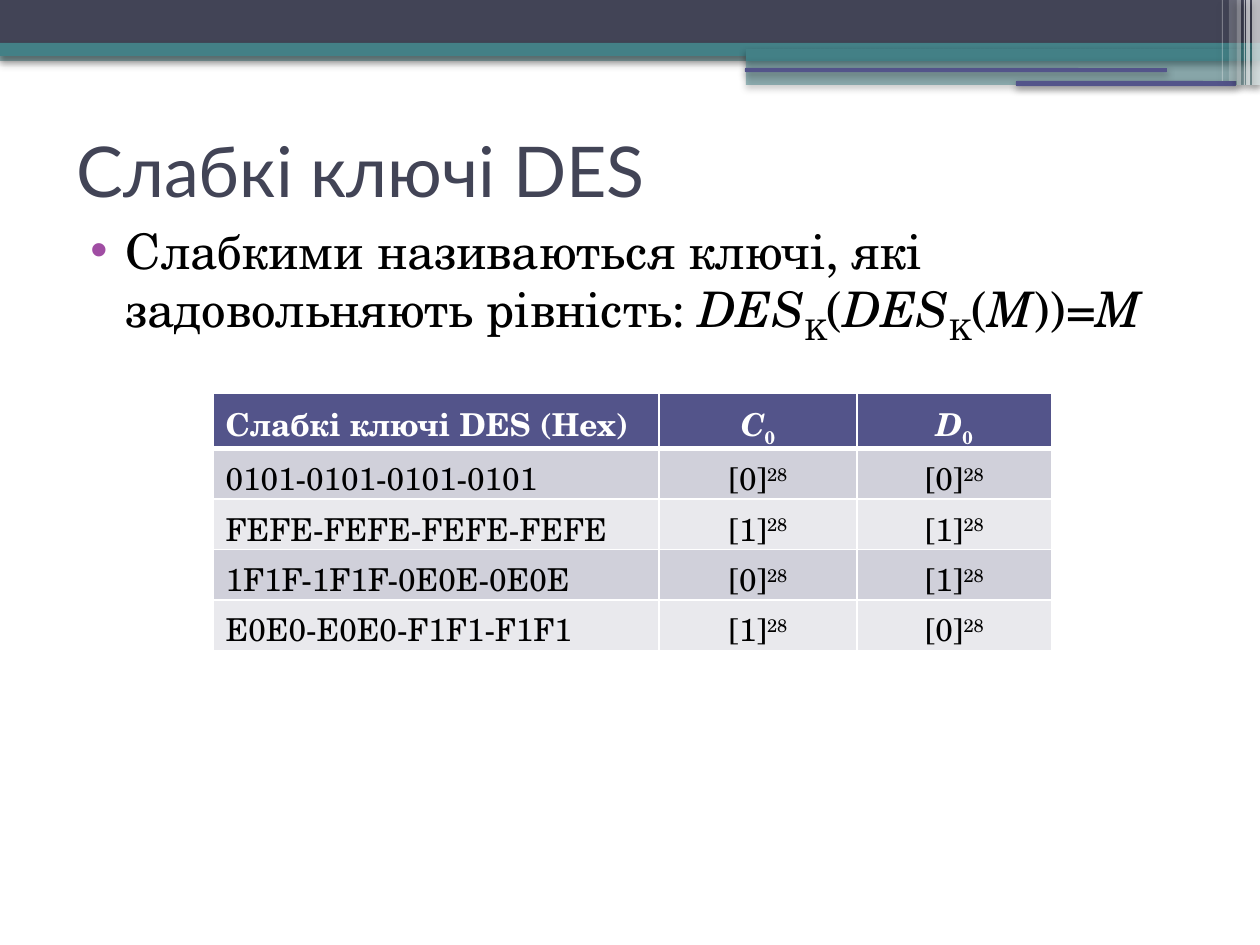
from dataclasses import dataclass

from lxml import etree
from pptx import Presentation
from pptx import util as u
from pptx.dml.color import RGBColor
from pptx.enum import shapes, text
from pptx.oxml.ns import qn

EMU_PER_PX = 914400 / 126
BASELINES = {"sub": "-25000", "sup": "30000"}


@dataclass(frozen=True)
class Theme:
    navy: str = "424456"
    teal: str = "438086"
    indigo: str = "53548A"
    white: str = "FFFFFF"
    black: str = "000000"
    bullet: str = "A04DA3"
    bands: tuple = ("D0D0DA", "E9E9ED")
    heading_font: str = "Lato"
    body_font: str = "TeX Gyre Schola"
    title_size: int = 40
    body_size: int = 28
    table_size: int = 18


def px(length):
    return u.Emu(round(length * EMU_PER_PX))


def rgb(code):
    return RGBColor.from_string(code)


def child(parent, tag, **attributes):
    return etree.SubElement(parent, qn(tag), {k: str(v) for k, v in attributes.items()})


def apply(target, values):
    for name, value in values.items():
        setattr(target, name, value)


class SlideBuilder:
    def __init__(self, presentation, theme):
        self.theme = theme
        self.slide = presentation.slides.add_slide(presentation.slide_layouts[5])

    def place(self, shape, box):
        apply(shape, dict(zip(("left", "top", "width", "height"), map(px, box))))

    def add_runs(self, paragraph, runs, font, size, color, bold=False):
        """Add (wording, style) runs; a style is "", "i", "sub" or "sup"."""
        for wording, style in runs:
            run = paragraph.add_run()
            run.text = wording
            apply(run.font, {"name": font, "size": u.Pt(size), "bold": bold,
                             "italic": style == "i"})
            run.font.color.rgb = rgb(color)
            if style in BASELINES:
                run._r.get_or_add_rPr().set("baseline", BASELINES[style])

    def bar(self, box, color, opacity=100, rounded=False):
        kinds = shapes.MSO_SHAPE
        kind = kinds.ROUNDED_RECTANGLE if rounded else kinds.RECTANGLE
        bar = self.slide.shapes.add_shape(kind, *map(px, box))
        bar.fill.solid()
        bar.fill.fore_color.rgb = rgb(color)
        bar.line.fill.background()
        bar.shadow.inherit = False
        properties = bar._element.spPr
        if opacity < 100:
            fill_color = properties.find(qn("a:solidFill"))[0]
            child(fill_color, "a:alpha", val=opacity * 1000)
        shadow = child(properties.find(qn("a:effectLst")), "a:outerShdw",
                       blurRad=u.Pt(4.1), dist=u.Pt(2), dir=5400000,
                       algn="ctr", rotWithShape=0)
        child(child(shadow, "a:srgbClr", val=self.theme.black), "a:alpha", val=40000)

    def title(self, box, wording):
        title = self.slide.shapes.title
        self.place(title, box)
        title.text_frame.vertical_anchor = text.MSO_ANCHOR.MIDDLE
        paragraph = title.text_frame.paragraphs[0]
        paragraph.alignment = text.PP_ALIGN.LEFT
        theme = self.theme
        self.add_runs(paragraph, [(wording, "")], theme.heading_font,
                      theme.title_size, theme.navy)

    def bullet(self, box, runs):
        frame = self.slide.shapes.add_textbox(*map(px, box)).text_frame
        frame.word_wrap = True
        paragraph = frame.paragraphs[0]
        properties = paragraph._p.get_or_add_pPr()
        properties.set("marL", str(u.Inches(0.4)))
        properties.set("indent", str(u.Inches(-0.28)))
        theme = self.theme
        child(child(properties, "a:buClr"), "a:srgbClr", val=theme.bullet)
        child(properties, "a:buFont", typeface="Arial")
        child(properties, "a:buChar", char="•")
        self.add_runs(paragraph, runs, theme.body_font, theme.body_size, theme.black)

    def border(self, cell, widths):
        """Draw white sides; widths are points for left, right, top, bottom."""
        properties = cell._tc.get_or_add_tcPr()
        for index, (side, width) in enumerate(zip("LRTB", widths)):
            line = child(properties, f"a:ln{side}", w=u.Pt(width))
            child(child(line, "a:solidFill"), "a:srgbClr", val=self.theme.white)
            properties.insert(index, line)

    def table(self, origin, column_widths, row_heights, rows):
        theme = self.theme
        size = (sum(column_widths), sum(row_heights))
        table = self.slide.shapes.add_table(
            len(rows), len(column_widths), *map(px, origin + size)).table
        table.horz_banding = False
        for column, width in zip(table.columns, column_widths):
            column.width = px(width)
        for r, (row, height) in enumerate(zip(rows, row_heights)):
            table.rows[r].height = px(height)
            header = r == 0
            fill = theme.indigo if header else theme.bands[(r - 1) % 2]
            for c, runs in enumerate(row):
                cell = table.cell(r, c)
                cell.fill.solid()
                cell.fill.fore_color.rgb = rgb(fill)
                self.border(cell, (0.96, 0.96, 3 if r == 1 else 0.96,
                                   3 if header else 0.96))
                paragraph = cell.text_frame.paragraphs[0]
                if c:
                    paragraph.alignment = text.PP_ALIGN.CENTER
                self.add_runs(paragraph, runs, theme.body_font, theme.table_size,
                              theme.white if header else theme.black, header)


def main():
    theme = Theme()
    presentation = Presentation()
    apply(presentation, {"slide_width": px(1260), "slide_height": px(945)})
    builder = SlideBuilder(presentation, theme)

    for box, color, opacity in (
        ((0, 50, 1260, 11), theme.teal, 50),
        ((0, 0, 1260, 43), theme.navy, 100),
        ((0, 43, 1260, 13), theme.teal, 100),
        ((746, 49, 514, 12), theme.teal, 100),
        ((746, 60, 514, 25), theme.teal, 50),
    ):
        builder.bar(box, color, opacity)
    for accent in ((745, 68, 422, 4), (1016, 81, 220, 5)):
        builder.bar(accent, theme.indigo, rounded=True)
    for left, width, height, opacity in (
        (1252, 8, 85, 66), (1246, 4, 85, 66), (1244, 1, 85, 60),
        (1237, 4, 85, 40), (1229, 8, 81, 20), (1222, 1, 81, 31),
    ):
        builder.bar((left, 0, width, height), theme.white, opacity)

    builder.title((64, 96, 1134, 147), "Слабкі ключі DES")
    encryption = [("DES", "i"), ("K", "sub"), ("(", "")]
    builder.bullet((63, 214, 1134, 692), [
        ("Слабкими називаються ключі, які задовольняють рівність: ", ""),
        *encryption, *encryption, ("M", "i"), ("))=", ""), ("M", "i")])

    header = [[("Слабкі ключі DES (Hex)", "")]]
    header += [[(half, "i"), ("0", "sub")] for half in "CD"]
    weak_keys = (
        ("0101-0101-0101-0101", 0, 0),
        ("FEFE-FEFE-FEFE-FEFE", 1, 1),
        ("1F1F-1F1F-0E0E-0E0E", 0, 1),
        ("E0E0-E0E0-F1F1-F1F1", 1, 0),
    )
    key_rows = [[[(key, "")]] + [[(f"[{bit}]", ""), ("28", "sup")] for bit in bits]
                for key, *bits in weak_keys]
    builder.table((213, 393), (446, 198, 195), [53] + [50] * len(key_rows),
                  [header] + key_rows)
    presentation.save("out.pptx")


if __name__ == "__main__":
    main()
